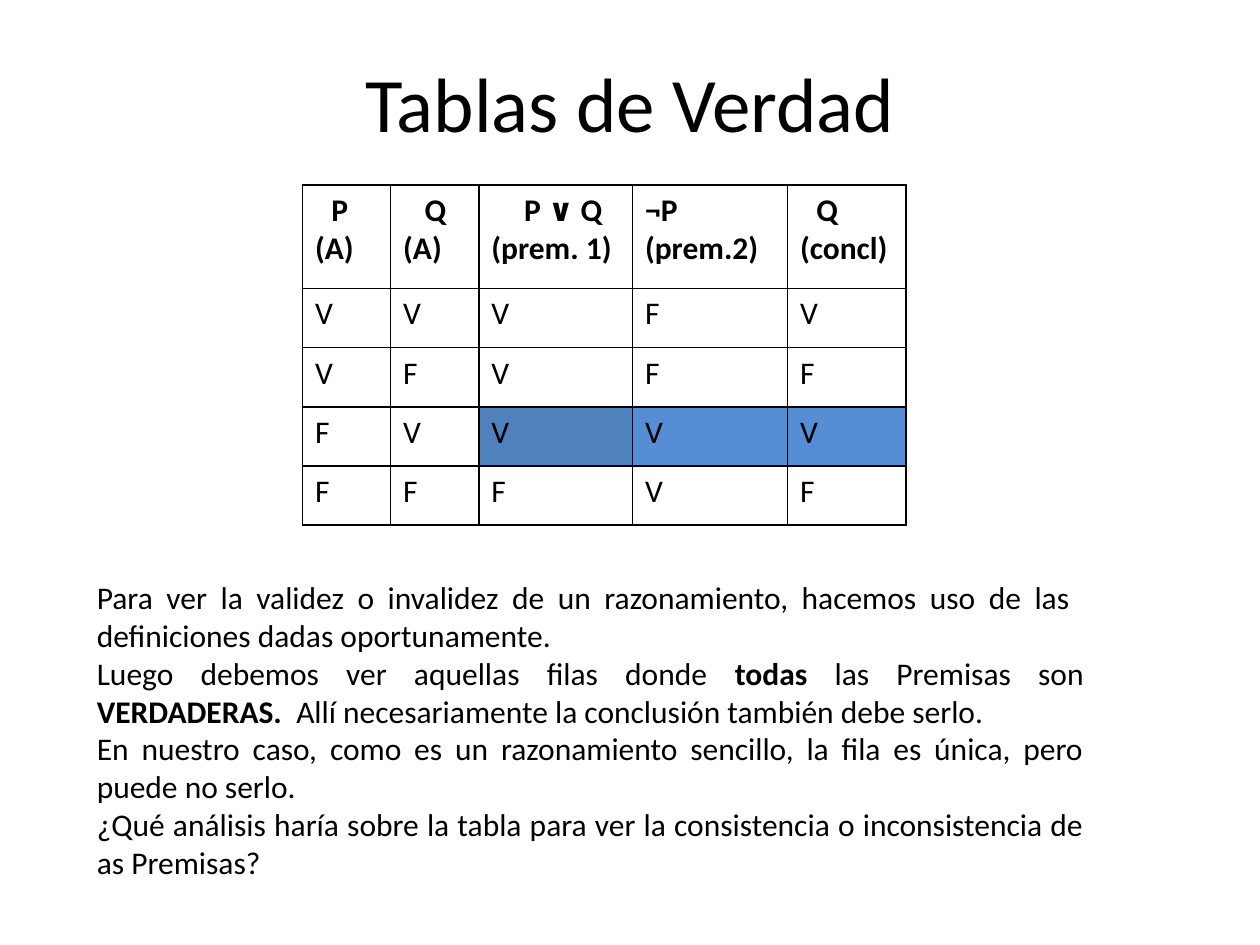
from lxml.etree import SubElement
from pptx import Presentation
from pptx.dml.color import RGBColor
from pptx.enum.text import MSO_ANCHOR as Anchor, PP_ALIGN as Align
from pptx.oxml.ns import qn
from pptx.util import Inches, Pt

BLACK, WHITE = "000000", "FFFFFF"
COLUMNS = [0.7, 0.7, 1.22, 1.23, 0.94]
ROWS = [0.82] + [0.47] * 4
HEADERS = ["P (A)", "Q (A)", "P ∨ Q (prem. 1)", "¬P (prem.2)", "Q\n(concl)"]
HEADER_INDENTS = [0.13, 0.17, 0.26, 0, 0.13]
TRUTH_VALUES = ["VVVFV", "VFVFF", "FVVVV", "FFFVF"]
HIGHLIGHTS = {(3, 2): "4F81BD", (3, 3): "558ED5", (3, 4): "558ED5"}
EXPLANATION = [
    [("Para ver la validez o invalidez de un razonamiento, hacemos uso de las  "
      "definiciones dadas oportunamente. ", False)],
    [("Luego debemos ver aquellas filas donde ", False), ("todas", True),
     (" las Premisas son ", False), ("VERDADERAS.", True),
     ("  Allí necesariamente la conclusión también debe serlo.", False)],
    [("En nuestro caso, como es un razonamiento sencillo, la fila es única, "
      "pero puede no serlo.", False)],
    [("¿Qué análisis haría sobre la tabla para ver la consistencia o "
      "inconsistencia de as Premisas?", False)],
]


def color(value):
    """Turn a hex string into a colour."""
    return RGBColor.from_string(value)


def write(para, text, size=18, bold=False, font="Calibri", ink=BLACK):
    """Add a formatted span to a paragraph."""
    span = para.add_run()
    span.text = text
    span.font.size = Pt(size)
    span.font.bold = bold
    span.font.name = font
    span.font.color.rgb = color(ink)


class TruthTablePage:
    """Holds the slide and the style of its elements."""

    def __init__(self, page, line=BLACK, fill=WHITE):
        """Keep the slide and its line and fill colours."""
        self.page = page
        self.line = line
        self.fill = fill

    def text(self, place, paragraphs, align, anchor=Anchor.TOP, size=18):
        """Add a text box of paragraphs made of (text, bold) spans."""
        box = self.page.shapes.add_textbox(*map(Inches, place))
        frame = box.text_frame
        frame.word_wrap = True
        frame.vertical_anchor = anchor
        for index, spans in enumerate(paragraphs):
            para = frame.add_paragraph() if index else frame.paragraphs[0]
            para.alignment = align
            for text, bold in spans:
                write(para, text, size=size, bold=bold)

    def cell(self, cell, text, fill, bold=False, indent=0):
        """Fill, border and write one table cell."""
        properties = cell._tc.get_or_add_tcPr()
        for side in ("a:lnL", "a:lnR", "a:lnT", "a:lnB"):
            border = SubElement(properties, qn(side), w=str(Pt(1)))
            paint = SubElement(border, qn("a:solidFill"))
            SubElement(paint, qn("a:srgbClr"), val=self.line)
        cell.fill.solid()
        cell.fill.fore_color.rgb = color(fill)
        frame = cell.text_frame
        for index, line in enumerate(text.split("\n")):
            para = frame.add_paragraph() if index else frame.paragraphs[0]
            if indent and not index:
                para._p.get_or_add_pPr().set("indent", str(Inches(indent)))
            write(para, line, bold=bold)

    def table(self, left, top):
        """Add the truth table."""
        size = Inches(sum(COLUMNS)), Inches(sum(ROWS))
        table = self.page.shapes.add_table(
            len(ROWS), len(COLUMNS), Inches(left), Inches(top), *size).table
        table.horz_banding = False
        for column, width in zip(table.columns, COLUMNS):
            column.width = Inches(width)
        for row, height in zip(table.rows, ROWS):
            row.height = Inches(height)
        for r, values in enumerate([HEADERS, *TRUTH_VALUES]):
            for c, value in enumerate(values):
                self.cell(table.cell(r, c), value, HIGHLIGHTS.get((r, c), self.fill),
                          bold=r == 0, indent=0 if r else HEADER_INDENTS[c])


def main():
    """Build and save the slide."""
    deck = Presentation()
    deck.slide_width, deck.slide_height = Inches(10), Inches(7.5)
    page = TruthTablePage(deck.slides.add_slide(deck.slide_layouts[6]))
    page.text((0.5, 0.3, 9, 1.01), [[("Tablas de Verdad", False)]],
              Align.CENTER, anchor=Anchor.MIDDLE, size=44)
    page.table(2.4, 1.47)
    page.text((0.67, 4.54, 8.03, 2.83), EXPLANATION, Align.JUSTIFY)
    deck.save("out.pptx")


if __name__ == "__main__":
    main()
